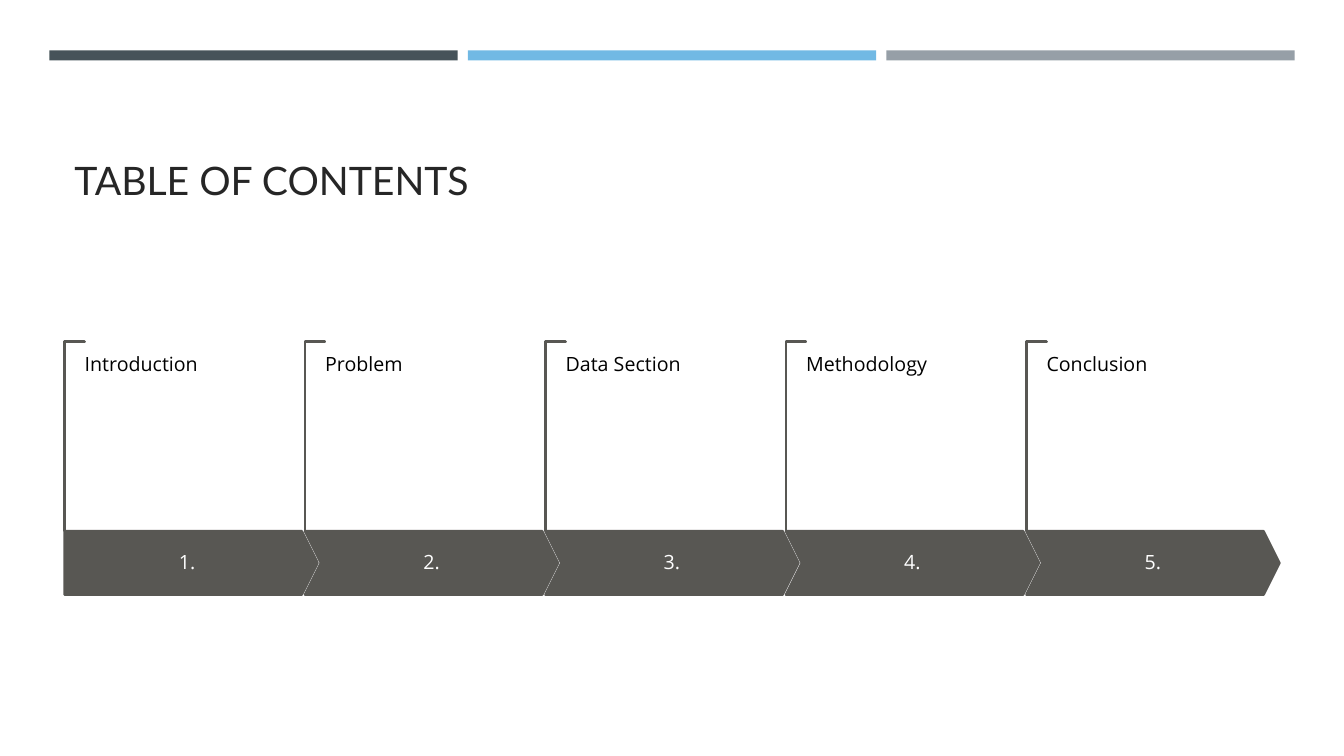
from dataclasses import dataclass

from pptx import Presentation
from pptx.dml.color import RGBColor
from pptx.enum.shapes import MSO_SHAPE
from pptx.enum.text import MSO_ANCHOR, PP_ALIGN
from pptx.shapes.autoshape import Shape
from pptx.slide import Slide
from pptx.text.text import TextFrame
from pptx.util import Inches, Pt

RECTANGLE, CORNER = MSO_SHAPE.RECTANGLE, MSO_SHAPE.CORNER
PENTAGON, CHEVRON = MSO_SHAPE.PENTAGON, MSO_SHAPE.CHEVRON
TOP, MIDDLE, BOTTOM = MSO_ANCHOR.TOP, MSO_ANCHOR.MIDDLE, MSO_ANCHOR.BOTTOM
LEFT, CENTER = PP_ALIGN.LEFT, PP_ALIGN.CENTER

TITLE_FONT, BODY_FONT = "Lato", "Open Sans"
ARROW_COLOR, BRACKET_COLOR = "585753", "EBDDC3"
BAR_LEFT, BAR_PITCH = 0.49, 4.15
SECTION_LEFT, LAST_SECTION_LEFT = 0.64, 10.18
SECTIONS = ["Introduction", "Problem", "Data Section", "Methodology", "Conclusion"]
SECTION_PITCH = (LAST_SECTION_LEFT - SECTION_LEFT) / (len(SECTIONS) - 1)


@dataclass
class Box:
    """A rectangle on the slide, in inches."""

    left: float
    top: float
    width: float
    height: float

    def lengths(self) -> tuple[Inches, Inches, Inches, Inches]:
        """Return the four measures as slide lengths."""
        return (Inches(self.left), Inches(self.top),
                Inches(self.width), Inches(self.height))


@dataclass
class TextStyle:
    """The look of one line of text; insets are in inches."""

    font: str
    size: float
    color: str
    anchor: MSO_ANCHOR
    alignment: PP_ALIGN
    inset_x: float
    inset_y: float


TITLE_STYLE = TextStyle(TITLE_FONT, 28, "262626", BOTTOM, LEFT, 0.1, 0.05)
NUMBER_STYLE = TextStyle(BODY_FONT, 14, "FFFFFF", MIDDLE, CENTER, 0.1, 0.19)
LABEL_STYLE = TextStyle(BODY_FONT, 14, "000000", TOP, LEFT, 0, 0)


def color(value: str) -> RGBColor:
    """Turn a hex string into a colour."""
    return RGBColor.from_string(value)


def write(frame: TextFrame, text: str, style: TextStyle) -> None:
    """Fill a text frame with one styled paragraph."""
    frame.word_wrap = True
    frame.vertical_anchor = style.anchor
    frame.margin_left = frame.margin_right = Inches(style.inset_x)
    frame.margin_top = frame.margin_bottom = Inches(style.inset_y)
    paragraph = frame.paragraphs[0]
    paragraph.text = text
    paragraph.alignment = style.alignment
    paragraph.line_spacing = 0.9
    paragraph.font.name = style.font
    paragraph.font.size = Pt(style.size)
    paragraph.font.color.rgb = color(style.color)


def add_text(slide: Slide, box: Box, text: str, style: TextStyle) -> None:
    """Add a text box."""
    write(slide.shapes.add_textbox(*box.lengths()).text_frame, text, style)


def add_shape(slide: Slide, kind: MSO_SHAPE, box: Box, fill: str,
              line: str | None = None, adjustments: tuple[float, ...] = ()) -> Shape:
    """Add a flat preset shape, outlined only if a line colour is given."""
    shape = slide.shapes.add_shape(kind, *box.lengths())
    shape.shadow.inherit = False
    shape.fill.solid()
    shape.fill.fore_color.rgb = color(fill)
    if line:
        shape.line.color.rgb = color(line)
        shape.line.width = Pt(1.75)
    else:
        shape.line.fill.background()
    for index, adjustment in enumerate(adjustments):
        shape.adjustments[index] = adjustment
    return shape


def add_section(slide: Slide, index: int, label: str) -> None:
    """Add one step: bracket, numbered arrow and label."""
    left = SECTION_LEFT + index * SECTION_PITCH
    bracket = add_shape(slide, CORNER, Box(left - 0.84, 4.23, 1.88, 0.2),
                        BRACKET_COLOR, ARROW_COLOR, (0.01, 0.01))
    bracket.rotation = 90
    arrow = add_shape(slide, CHEVRON if index else PENTAGON,
                      Box(left, 5.27, 2.51, 0.63), ARROW_COLOR, ARROW_COLOR, (0.25,))
    write(arrow.text_frame, f"{index + 1}.", NUMBER_STYLE)
    add_text(slide, Box(left + 0.2, 3.52, 2.04, 1.18), label, LABEL_STYLE)


presentation = Presentation()
presentation.slide_width, presentation.slide_height = Inches(13.33), Inches(7.5)
slide = presentation.slides.add_slide(presentation.slide_layouts[6])

for position, bar_color in enumerate(["465359", "71B9E4", "969FA7"]):
    add_shape(slide, RECTANGLE,
              Box(BAR_LEFT + position * BAR_PITCH, 0.5, 4.05, 0.1), bar_color)

add_text(slide, Box(0.64, 0.77, 12.06, 1.3), "TABLE OF CONTENTS", TITLE_STYLE)

for position, section in enumerate(SECTIONS):
    add_section(slide, position, section)

presentation.save("out.pptx")
